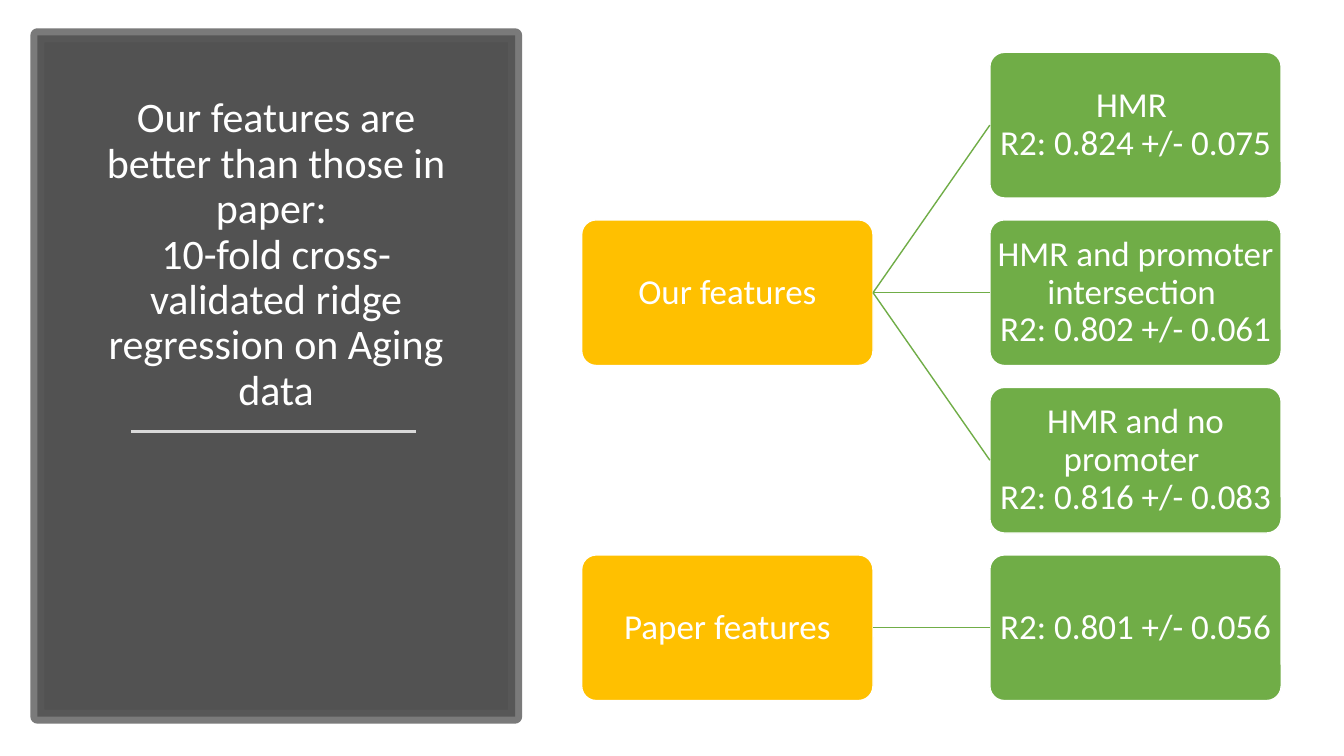
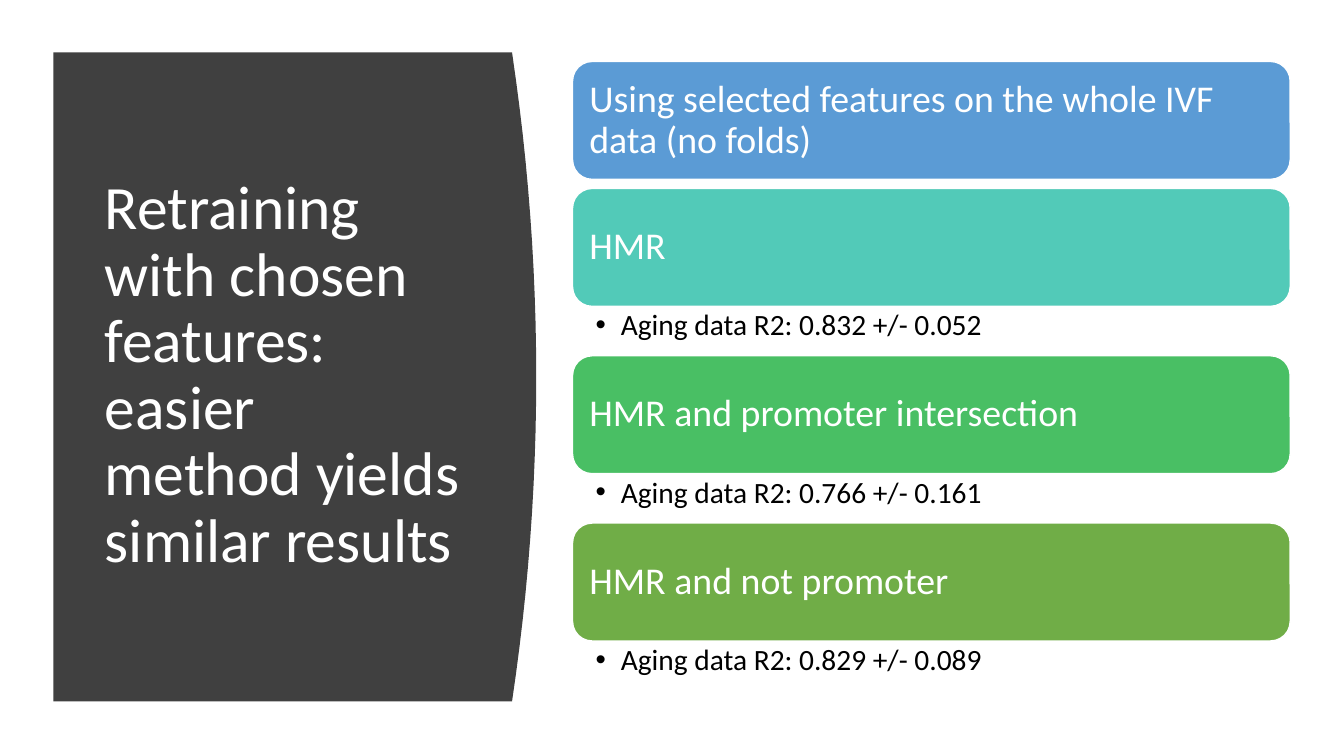
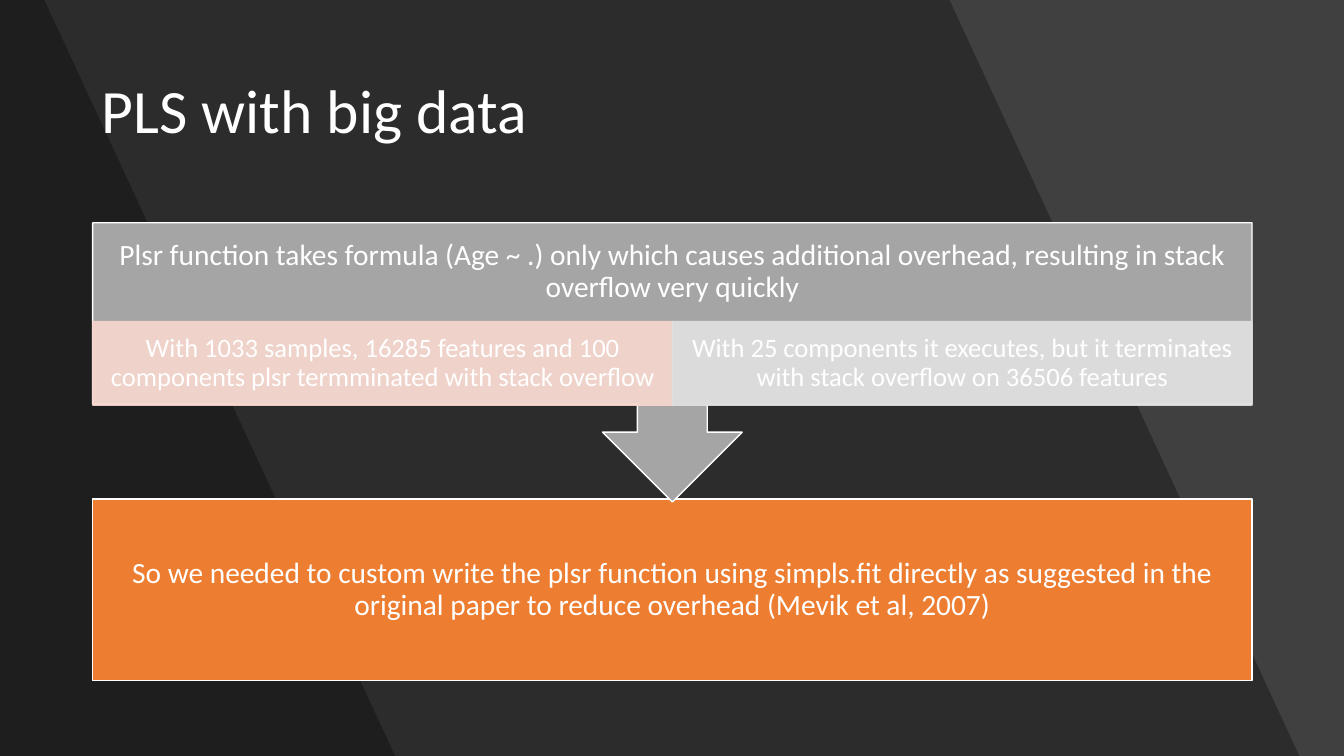
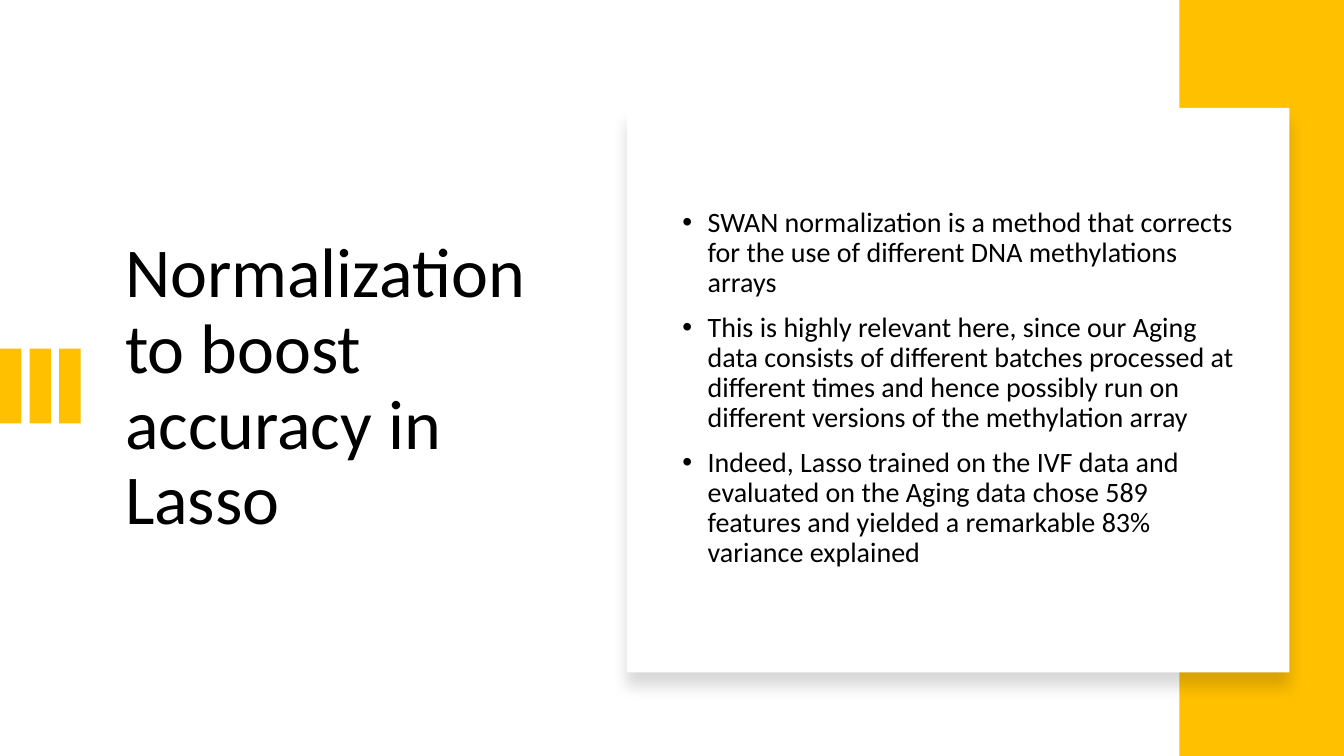
import dataclasses

import lxml.etree
import pptx
import pptx.dml.color
import pptx.enum.shapes
import pptx.enum.text
import pptx.oxml.ns
import pptx.shapes.connector
import pptx.util


@dataclasses.dataclass(frozen=True)
class Theme:
    font: str = "Calibri"
    white: str = "FFFFFF"
    black: str = "000000"
    charcoal: str = "404040"
    frame: str = "595959"
    rule: str = "D9D9D9"
    gold: str = "FFC000"
    green: str = "70AD47"
    emerald: str = "49BF64"
    teal: str = "52CAB8"
    blue: str = "5B9BD5"
    orange: str = "ED7D31"
    gray: str = "A5A5A5"
    blush: str = "F8D7CE"
    silver: str = "E1E1E1"
    title_large: int = 50
    title: int = 44
    title_small: int = 30
    card: int = 27
    node: int = 25
    note: int = 21
    body: int = 20
    detail: int = 19


theme = Theme()
qn = pptx.oxml.ns.qn
rgb = pptx.dml.color.RGBColor.from_string
Pt, Inches = pptx.util.Pt, pptx.util.Inches
shapes = pptx.enum.shapes.MSO_SHAPE
anchors = pptx.enum.text.MSO_ANCHOR
aligns = pptx.enum.text.PP_ALIGN

# Each slide is a grid of 100 columns by 100 rows
deck = pptx.Presentation()
deck.slide_width, deck.slide_height = Inches(13.33), Inches(7.5)
column, row = deck.slide_width / 100, deck.slide_height / 100
title_only, title_and_body = deck.slide_layouts[5], deck.slide_layouts[1]


def block(page, area, fill, kind=shapes.RECTANGLE, line=None, width=1, opacity=()):
    """Draw a preset shape in an area, or an outline through a list of points."""
    if isinstance(area, list):
        points = [(round(x * column), round(y * row)) for x, y in area]
        builder = page.shapes.build_freeform(*points[0])
        builder.add_line_segments(points[1:])
        shape = builder.convert_to_shape()
    else:
        steps = (column, row, column, row)
        shape = page.shapes.add_shape(kind, *(round(n * s) for n, s in zip(area, steps)))
    shape.shadow.inherit = False
    shape.fill.solid()
    shape.fill.fore_color.rgb = rgb(fill)
    if line:
        shape.line.color.rgb = rgb(line)
        shape.line.width = Pt(width)
    else:
        shape.line.fill.background()
    # Opacity in percent: fill first, then line
    for color, percent in zip(shape.element.spPr.iter(qn("a:srgbClr")), opacity):
        lxml.etree.SubElement(color, qn("a:alpha"), val=str(percent * 1000))
    return shape


def write(box, texts, size, color, area=None, align=aligns.LEFT, anchor=anchors.MIDDLE,
          inset=(0.1, 0.05, 0.1, 0.05), bullet=False):
    """Fill a box with paragraphs; an area also moves it there, in front."""
    if area:
        box.left, box.width = round(area[0] * column), round(area[2] * column)
        box.top, box.height = round(area[1] * row), round(area[3] * row)
        box.element.getparent().append(box.element)
    frame = box.text_frame
    frame.word_wrap = True
    frame.auto_size = pptx.enum.text.MSO_AUTO_SIZE.NONE
    frame.vertical_anchor = anchor
    frame.margin_left, frame.margin_top, frame.margin_right, frame.margin_bottom = map(Inches, inset)
    for index, text in enumerate(texts):
        para = frame.add_paragraph() if index else frame.paragraphs[0]
        if bullet:
            properties = para._p.get_or_add_pPr()
            properties.set("marL", str(Inches(0.25)))
            properties.set("indent", str(-Inches(0.25)))
            lxml.etree.SubElement(properties, qn("a:buFont"), typeface="Arial")
            lxml.etree.SubElement(properties, qn("a:buChar"), char="•")
        para.alignment = align
        para.line_spacing = 0.9
        para.space_before = Pt(10 if index else 0)
        for number, part in enumerate(text.split("\n")):
            if number:
                para.add_line_break()
            span = para.add_run()
            span.text = part
            span.font.name = theme.font
            span.font.size = Pt(size)
            span.font.color.rgb = rgb(color)


# Slide 1: feature sets and their scores
page = deck.slides.add_slide(title_only)
block(page, (2.78, 4.67, 35.55, 90.13), theme.charcoal, line=theme.frame, width=10, opacity=(90, 80))
write(page.shapes.title,
      ["Our features are better than those in paper: \n"
       "10-fold cross-validated ridge regression on Aging data"],
      theme.title_small, theme.white, (5.55, 13.33, 30, 42.13), aligns.CENTER, anchors.BOTTOM)
straight = pptx.enum.shapes.MSO_CONNECTOR.STRAIGHT
rule = page.shapes.add_connector(straight, round(9.75 * column), round(57.07 * row),
                                 round(30.98 * column), round(57.07 * row))
rule.line.color.rgb = rgb(theme.rule)
rule.line.width = Pt(1.75)

# Each group: label, row of its node, scores with their rows
groups = [
    ("Our features", 1, [(0, "HMR \nR2: 0.824 +/- 0.075"),
                         (1, "HMR and promoter intersection \nR2: 0.802 +/- 0.061"),
                         (2, "HMR and no promoter \nR2: 0.816 +/- 0.083")]),
    ("Paper features", 3, [(3, "R2: 0.801 +/- 0.056")]),
]
for label, level, scores in groups:
    parent = None
    nodes = [(43.28, level, label, theme.gold)]
    nodes += [(73.65, place, score, theme.green) for place, score in scores]
    for left, place, text, fill in nodes:
        node = block(page, (left, 6.92 + 22.16 * place, 21.68, 19.27), fill,
                     shapes.ROUNDED_RECTANGLE, theme.white)
        node.adjustments[0] = 0.1
        write(node, [text], theme.node, theme.white, align=aligns.CENTER, inset=(0.02,) * 4)
        if parent is None:
            parent = node
            continue
        link = page.shapes.add_connector(straight, 0, 0, 0, 0)
        link.begin_connect(parent, 3)
        link.end_connect(node, 1)
        link.line.color.rgb = rgb(theme.green)
        link.line.width = Pt(1)

# Slide 2: title panel with a bulging right edge
page = deck.slides.add_slide(title_only)
curve = [step / 12 for step in range(-12, 13)]
edge = [(38.1 + 1.8 * (1 - t * t), 49.87 + 42.93 * t) for t in curve]
block(page, [(3.98, 6.94)] + edge + [(3.98, 92.8)], theme.charcoal)
write(page.shapes.title,
      ["Retraining with chosen features: easier method yields similar results"],
      theme.title, theme.white, (7.05, 14.8, 28.05, 69.87))

# Stacked cards, some followed by a score
cards = [
    ("Using selected features on the whole IVF data (no folds)", theme.blue, None),
    ("HMR", theme.teal, "Aging data R2: 0.832 +/- 0.052"),
    ("HMR and promoter intersection", theme.emerald, "Aging data R2: 0.766 +/- 0.161"),
    ("HMR and not promoter", theme.green, "Aging data R2: 0.829 +/- 0.089"),
]
top = 8.13
for heading, fill, score in cards:
    card = block(page, (42.6, top, 53.4, 15.6), fill, shapes.ROUNDED_RECTANGLE, theme.white)
    write(card, [heading], theme.card, theme.white, inset=(0.11,) * 4)
    top += 15.6
    if score:
        write(page.shapes.add_textbox(0, 0, 0, 0), [score], theme.note, theme.black,
              (42.6, top, 53.4, 6.53), anchor=anchors.TOP,
              inset=(0.23, 0.04, 0.21, 0.04), bullet=True)
        top += 6.53
    else:
        top += 1.2

# Slide 3: dark slanted backdrop
page = deck.slides.add_slide(title_only)
page.background.fill.solid()
page.background.fill.fore_color.rgb = rgb(theme.charcoal)
for upper, lower in [(70.65, 96.68), (3.3, 29.4)]:
    block(page, [(0, 0), (upper, 0), (lower, 100), (0, 100)], theme.black, opacity=(30,))
write(page.shapes.title, ["PLS with big data"], theme.title, theme.white,
      (6.83, 5.33, 86.33, 19.33))

# Problem callout pointing at the solution
solution = block(page, (6.9, 66, 86.26, 24), theme.orange, line=theme.white)
write(solution,
      ["So we needed to custom write the plsr function using simpls.fit directly as "
       "suggested in the original paper to reduce overhead (Mevik et al, 2007)"],
      theme.note, theme.white, align=aligns.CENTER, inset=(0.16,) * 4)
problem = block(page, (6.9, 29.47, 86.26, 36.93), theme.gray, shapes.DOWN_ARROW_CALLOUT, theme.white)
write(problem,
      ["Plsr function takes formula (Age ~ .) only which causes additional overhead, "
       "resulting in stack overflow very quickly"],
      theme.note, theme.white, align=aligns.CENTER, inset=(0.16, 0.16, 0.16, 0.99))
cases = [
    ("With 1033 samples, 16285 features and 100 components plsr termminated with stack overflow",
     theme.blush),
    ("With 25 components it executes, but it terminates with stack overflow on 36506 features",
     theme.silver),
]
for index, (text, fill) in enumerate(cases):
    case = block(page, (6.9 + 43.13 * index, 42.53, 43.13, 11.07), fill, line=fill, opacity=(90, 90))
    write(case, [text], theme.detail, theme.white, align=aligns.CENTER,
          inset=(0.15, 0.03, 0.15, 0.03))

# Slide 4: title with gold bars
page = deck.slides.add_slide(title_and_body)
write(page.shapes.title, ["Normalization to boost accuracy in Lasso"],
      theme.title_large, theme.black, (8.55, 19.47, 31.95, 63.87))
for index in range(3):
    block(page, (2.2 * index, 46.13, 1.6, 9.87), theme.gold)
block(page, (87.75, 0, 12.25, 100), theme.gold)

# Shadowed sheet holding the list
sheet = block(page, (46.65, 14.27, 49.28, 74.67), theme.white)
shadow = lxml.etree.SubElement(sheet.element.spPr.find(qn("a:effectLst")), qn("a:outerShdw"),
                               blurRad=str(Pt(11)), dist=str(Pt(10)), dir="5400000")
tint = lxml.etree.SubElement(shadow, qn("a:srgbClr"), val=theme.black)
lxml.etree.SubElement(tint, qn("a:alpha"), val="15000")
write(page.placeholders[1],
      ["SWAN normalization is a method that corrects for the use of different DNA "
       "methylations arrays",
       "This is highly relevant here, since our Aging data consists of different batches "
       "processed at different times and hence possibly run on different versions of the "
       "methylation array",
       "Indeed, Lasso trained on the IVF data and evaluated on the Aging data chose 589 "
       "features and yielded a remarkable 83% variance explained"],
      theme.body, theme.black, (50.03, 19.47, 43.13, 63.87), bullet=True)

# Connectors carry no shadow
for page in deck.slides:
    for shape in page.shapes:
        if isinstance(shape, pptx.shapes.connector.Connector):
            lxml.etree.SubElement(shape.element.spPr, qn("a:effectLst"))

deck.save("out.pptx")
